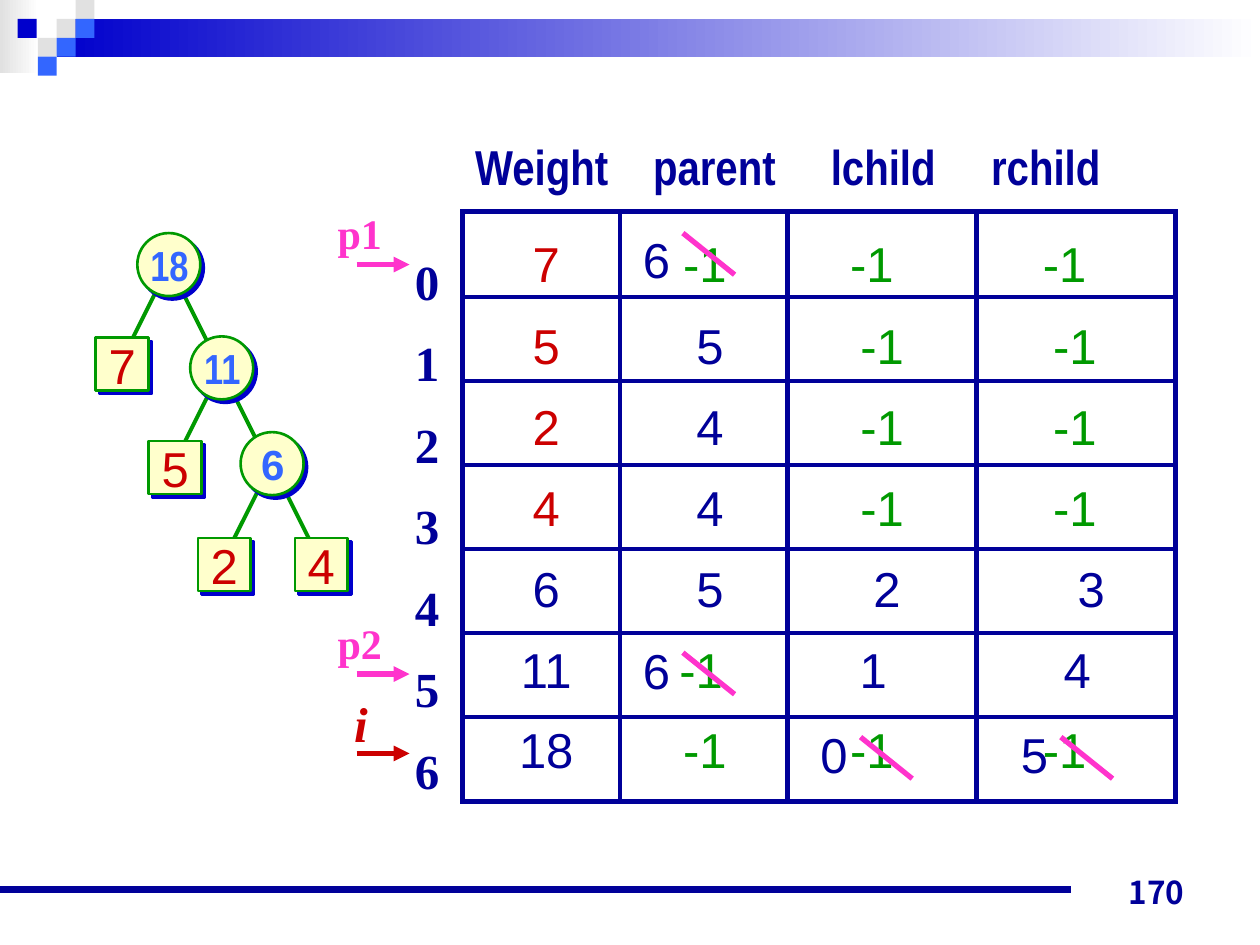
from lxml.etree import SubElement
from pptx import Presentation
from pptx.dml.color import RGBColor
from pptx.enum.shapes import MSO_CONNECTOR, MSO_SHAPE
from pptx.enum.text import MSO_ANCHOR, PP_ALIGN
from pptx.oxml.ns import qn
from pptx.util import Inches, Pt

NAVY, BLUE, SKY, GREY = "000099", "0000CC", "3366FF", "E1E1E1"
GREEN, RED, PINK, CREAM, WHITE = "009900", "CC0000", "FF33CC", "FFFFCC", "FFFFFF"

NUMBER = {"name": "Arial", "size": Pt(28), "bold": False}
HEADING = {"name": "Arial Narrow", "size": Pt(28), "bold": True}
INNER = {"name": "Arial Narrow", "size": Pt(24), "bold": True}
INDEX = {"name": "Times New Roman", "size": Pt(28), "bold": True}
POINTER = {**INDEX, "size": Pt(24)}
ITERATOR = {**INDEX, "italic": True}
PAGE = {"name": "Noto Sans CJK JP", "size": Pt(18), "bold": True}


def colour(value):
    return RGBColor.from_string(value)


class SlideBuilder:
    def __init__(self, slide):
        self.slide = slide

    def style(self, paragraph, text, formats, fill, align=PP_ALIGN.CENTER):
        paragraph.alignment = align
        run = paragraph.add_run()
        run.text = text
        for name, value in formats.items():
            setattr(run.font, name, value)
        run.font.color.rgb = colour(fill)

    def text(self, lines, box, formats, fill, align=PP_ALIGN.CENTER,
             anchor=MSO_ANCHOR.MIDDLE, spacing=None, gap=None):
        frame = self.slide.shapes.add_textbox(*map(Inches, box)).text_frame
        frame.word_wrap = False
        frame.vertical_anchor = anchor
        for position, line in enumerate(lines):
            paragraph = frame.add_paragraph() if position else frame.paragraphs[0]
            if spacing:
                paragraph.line_spacing = spacing
            if gap and position:
                paragraph.space_before = Pt(gap)
            self.style(paragraph, line, formats, fill, align)

    def block(self, box, *fills):
        shape = self.slide.shapes.add_shape(MSO_SHAPE.RECTANGLE, *map(Inches, box))
        shape.shadow.inherit = False
        shape.line.fill.background()
        if len(fills) == 1:
            shape.fill.solid()
            shape.fill.fore_color.rgb = colour(fills[0])
            return
        shape.fill.gradient()
        shape.fill.gradient_angle = 0
        for stop, fill in zip(shape.fill.gradient_stops, fills):
            stop.color.rgb = colour(fill)

    def line(self, start, end, fill, width, arrow=False):
        connector = self.slide.shapes.add_connector(
            MSO_CONNECTOR.STRAIGHT, *map(Inches, (*start, *end)))
        connector.line.color.rgb = colour(fill)
        connector.line.width = Pt(width)
        if arrow:
            SubElement(connector.line._get_or_add_ln(), qn("a:tailEnd"), type="triangle")
        SubElement(connector._element.spPr, qn("a:effectLst"))

    def node(self, kind, left, top, size):
        shape = self.slide.shapes.add_shape(kind, *map(Inches, (left, top, size, size)))
        shape.fill.solid()
        shape.fill.fore_color.rgb = colour(CREAM)
        shape.line.color.rgb = colour(GREEN)
        shape.line.width = Pt(1.5)
        effects = SubElement(shape._element.spPr, qn("a:effectLst"))
        shadow = SubElement(effects, qn("a:outerShdw"), dist=str(Pt(2.8)),
                            dir="2700000", algn="ctr", rotWithShape="0")
        SubElement(shadow, qn("a:srgbClr"), val=BLUE)

    def border(self, cell):
        properties = cell._tc.get_or_add_tcPr()
        for side in ("lnL", "lnR", "lnT", "lnB"):
            edge = SubElement(properties, qn(f"a:{side}"), w=str(Pt(3)))
            fill = SubElement(edge, qn("a:solidFill"))
            SubElement(fill, qn("a:srgbClr"), val=NAVY)

    def table(self, box, widths, rows, shifts):
        table = self.slide.shapes.add_table(
            len(rows), len(widths), *map(Inches, box)).table
        table.first_row = table.horz_banding = False
        for column, width in zip(table.columns, widths):
            column.width = Inches(width)
        for row, values in enumerate(rows):
            table.rows[row].height = Inches(box[3] / len(rows))
            for column, value in enumerate(values):
                cell = table.cell(row, column)
                shift = shifts[row][column]
                margins = {
                    "margin_left": Inches(max(0, 2 * shift)),
                    "margin_right": Inches(max(0, -2 * shift)),
                    "margin_top": Inches(0.21 - 0.15 * row / 6),
                    "margin_bottom": 0,
                }
                for name, margin in margins.items():
                    setattr(cell, name, margin)
                cell.vertical_anchor = MSO_ANCHOR.TOP
                self.border(cell)
                cell.fill.background()
                leaf = column == 0 and row < 4
                fill = RED if leaf else GREEN if value == "-1" else NAVY
                self.style(cell.text_frame.paragraphs[0], value, NUMBER, fill)


def draw_frame(builder):
    builder.block((0, 0, 0.31, 0.58), GREY, WHITE)
    builder.block((0.45, 0.15, 9.55, 0.3), BLUE, WHITE)
    squares = [(0.45, 0.15, GREY), (0.6, 0, GREY), (0.6, 0.15, SKY), (0.3, 0.3, GREY),
               (0.14, 0.15, BLUE), (0.45, 0.3, SKY), (0.3, 0.45, SKY)]
    for left, top, fill in squares:
        builder.block((left, top, 0.15, 0.15), fill)
    builder.line((0, 7.06), (8.5, 7.06), NAVY, 4.5)
    builder.text(["170"], (7.17, 6.78, 2.33, 0.5), PAGE, NAVY,
                 PP_ALIGN.RIGHT, MSO_ANCHOR.BOTTOM)


def draw_tree(builder):
    edges = [(1.43, 2.28, 1), (1.26, 2.27, -1), (1.84, 3.1, 1),
             (1.68, 3.08, -1), (2.24, 3.85, 1), (2.07, 3.85, -1)]
    for left, top, direction in edges:
        builder.line((left, top), (left + 0.25 * direction, top + 0.5), GREEN, 2.25)
    for label, left, top in [("7", 0.76, 2.68), ("5", 1.18, 3.5),
                             ("2", 1.57, 4.27), ("4", 2.34, 4.27)]:
        builder.node(MSO_SHAPE.RECTANGLE, left, top, 0.42)
        builder.text([label], (left, top - 0.07, 0.42, 0.57), NUMBER, RED)
    for label, left, top, font in [("18", 1.09, 1.85, "Arial Narrow"),
                                   ("11", 1.51, 2.67, "Arial Narrow"),
                                   ("6", 1.91, 3.43, "Arial")]:
        builder.node(MSO_SHAPE.OVAL, left, top, 0.5)
        builder.text([label], (left - 0.08, top, 0.67, 0.5), {**INNER, "name": font}, SKY)


def draw_array(builder):
    headings = [("Weight", 4.3), ("parent", 5.67), ("lchild", 7.01), ("rchild", 8.3)]
    for label, center in headings:
        builder.text([label], (center - 0.65, 1.03, 1.3, 0.57), HEADING, NAVY)
    rows = [("7", "-1", "-1", "-1"), ("5", "5", "-1", "-1"), ("2", "4", "-1", "-1"),
            ("4", "4", "-1", "-1"), ("6", "5", "2", "3"), ("11", "-1", "1", "4"),
            ("18", "-1", "-1", "-1")]
    outer, middle = (0.04, 0.01, -0.08, -0.09), (0.04, 0.05, 0, -0.01)
    shifts = [outer, middle, middle, middle, (0.04, 0.05, 0.04, 0.12),
              (0.04, -0.02, -0.07, 0.01), outer]
    builder.table((3.67, 1.68, 5.66, 4.67), (1.25, 1.33, 1.5, 1.58), rows, shifts)
    builder.text([str(index) for index in range(7)], (3.19, 1.92, 0.4, 4.35),
                 INDEX, NAVY, anchor=MSO_ANCHOR.TOP, spacing=1.05, gap=11.3)


def draw_updates(builder):
    for label, top, box, formats, fill in [
            ("p1", 2.1, (2.58, 1.6, 0.55, 0.5), POINTER, PINK),
            ("p2", 5.35, (2.58, 4.85, 0.55, 0.5), POINTER, PINK),
            ("i", 5.98, (2.71, 5.45, 0.31, 0.57), ITERATOR, RED)]:
        builder.line((2.83, top), (3.25, top), fill, 3, arrow=True)
        builder.text([label], box, formats, fill)
    for value, left, top, strike_top in [("6", 5, 1.77, 1.85), ("6", 5, 5.03, 5.18),
                                         ("0", 6.41, 5.7, 5.85), ("5", 8, 5.7, 5.85)]:
        builder.line((left + 0.42, strike_top), (left + 0.83, strike_top + 0.33), PINK, 3)
        builder.text([value], (left, top, 0.42, 0.57), NUMBER, NAVY)


def main():
    presentation = Presentation()
    presentation.slide_width = Inches(10)
    presentation.slide_height = Inches(7.5)
    builder = SlideBuilder(presentation.slides.add_slide(presentation.slide_layouts[6]))
    draw_frame(builder)
    draw_tree(builder)
    draw_array(builder)
    draw_updates(builder)
    presentation.save("out.pptx")


if __name__ == "__main__":
    main()
